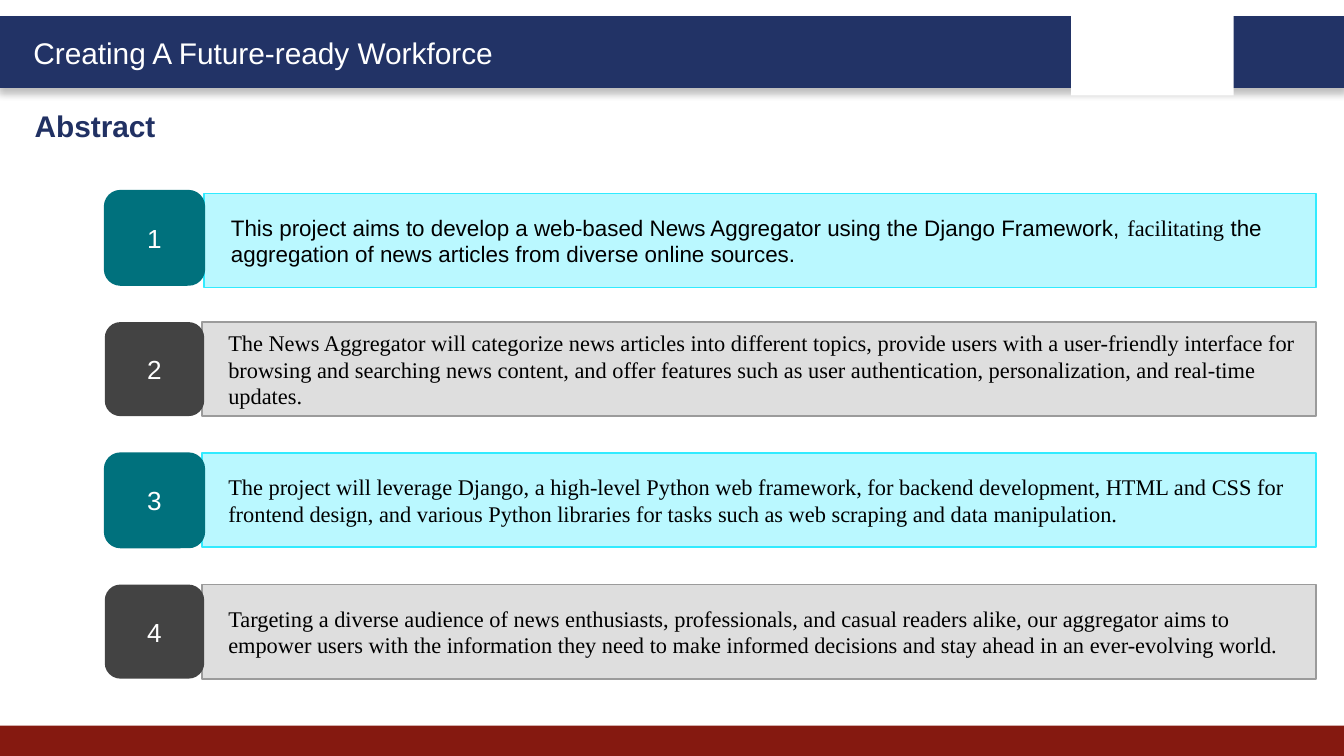
from lxml.etree import SubElement
from pptx import Presentation
from pptx.dml.color import RGBColor
from pptx.enum.shapes import MSO_SHAPE as Shape
from pptx.enum.text import MSO_ANCHOR as Anchor, MSO_AUTO_SIZE as AutoSize, PP_ALIGN as Align
from pptx.oxml.ns import qn
from pptx.util import Inches, Pt

SANS, SERIF = "Arial", "Times New Roman"

COLORS = {
    "navy": "223366", "heading": "213163", "red": "851910",
    "white": "FFFFFF", "black": "000000",
    "teal": "00717D", "cyan": "BAF8FF", "cyan_edge": "31EBFF",
    "charcoal": "434343", "gray": "DEDEDE", "gray_edge": "9B9B9B",
}

BANNER_TITLE = "Creating A Future-ready Workforce"
HEADING = "Abstract"

# Each point is a list of (text, font) runs.
POINTS = [
    [("This project aims to develop a web-based News Aggregator using the Django Framework, ", SANS),
     ("facilitating", SERIF),
     (" the aggregation of news articles from diverse online sources.", SANS)],
    [("The News Aggregator will categorize news articles into different topics, provide users "
      "with a user-friendly interface for browsing and searching news content, and offer features "
      "such as user authentication, personalization, and real-time updates.", SERIF)],
    [("The project will leverage Django, a high-level Python web framework, for backend "
      "development, HTML and CSS for frontend design, and various Python libraries for tasks "
      "such as web scraping and data manipulation.", SERIF)],
    [("Targeting a diverse audience of news enthusiasts, professionals, and casual readers alike, "
      "our aggregator aims to empower users with the information they need to make informed "
      "decisions and stay ahead in an ever-evolving world.", SERIF)],
]

# (badge fill, badge line, panel fill, panel line), alternating by row
STYLES = [("teal", "teal", "cyan", "cyan_edge"),
          ("charcoal", None, "gray", "gray_edge")]

SLIDE_WIDTH = 10
SLIDE_HEIGHT = SLIDE_WIDTH * 9 / 16
BADGE_LEFT, BADGE_WIDTH = 0.78, 0.74
PANEL_LEFT, PANEL_RIGHT = 1.5, 9.79
ROW_TOP, ROW_BOTTOM, ROW_HEIGHT = 1.42, 5.05, 0.7
ROW_PITCH = (ROW_BOTTOM - ROW_HEIGHT - ROW_TOP) / (len(POINTS) - 1)
FIRST_PANEL_SHIFT = 0.02


def color(name):
    return RGBColor.from_string(COLORS[name])


def add_block(slide, kind, box, fill, line=None, line_width=1):
    block = slide.shapes.add_shape(kind, *map(Inches, box))
    block.shadow.inherit = False
    block.fill.solid()
    block.fill.fore_color.rgb = color(fill)
    if line:
        block.line.color.rgb = color(line)
        block.line.width = Pt(line_width)
    else:
        block.line.fill.background()
    return block


def add_drop_shadow(block):
    effects = block._element.spPr.find(qn("a:effectLst"))
    shadow = SubElement(effects, qn("a:outerShdw"), blurRad=str(Pt(4)), dist=str(Pt(3)),
                        dir="5400000", algn="t", rotWithShape="0")
    tint = SubElement(shadow, qn("a:srgbClr"), val=COLORS["black"])
    SubElement(tint, qn("a:alpha"), val="25000")


def add_runs(paragraph, runs, size, ink, bold=False):
    for text, face in runs:
        run = paragraph.add_run()
        run.text = text
        run.font.name = face
        run.font.size = Pt(size)
        run.font.bold = bold
        run.font.color.rgb = color(ink)


def add_label(slide, box, text, ink, bold=False):
    frame = slide.shapes.add_textbox(*map(Inches, box)).text_frame
    frame.word_wrap = True
    frame.auto_size = AutoSize.SHAPE_TO_FIT_TEXT
    add_runs(frame.paragraphs[0], [(text, SANS)], 16, ink, bold)


def fill_block(block, runs, size, ink, align, indent=0):
    frame = block.text_frame
    frame.word_wrap = True
    frame.vertical_anchor = Anchor.MIDDLE
    paragraph = frame.paragraphs[0]
    paragraph.alignment = align
    if indent:
        paragraph._p.get_or_add_pPr().set("marL", str(Inches(indent)))
    add_runs(paragraph, runs, size, ink)


def add_point(slide, index, runs):
    badge_fill, badge_line, panel_fill, panel_line = STYLES[index % len(STYLES)]
    top = ROW_TOP + index * ROW_PITCH
    shift = 0 if index else FIRST_PANEL_SHIFT
    left = PANEL_LEFT + shift
    panel = add_block(slide, Shape.RECTANGLE,
                      (left, top + shift, PANEL_RIGHT - left, ROW_HEIGHT),
                      panel_fill, panel_line)
    fill_block(panel, runs, 12, "black", Align.LEFT, indent=0.1)
    badge = add_block(slide, Shape.ROUNDED_RECTANGLE,
                      (BADGE_LEFT, top, BADGE_WIDTH, ROW_HEIGHT), badge_fill, badge_line)
    fill_block(badge, [(str(index + 1), SANS)], 14, "white", Align.CENTER)


def main():
    deck = Presentation()
    deck.slide_width, deck.slide_height = Inches(SLIDE_WIDTH), Inches(SLIDE_HEIGHT)
    slide = deck.slides.add_slide(deck.slide_layouts[6])

    banner = add_block(slide, Shape.RECTANGLE, (0, 0.13, SLIDE_WIDTH, 0.51), "navy", "navy", 2)
    add_drop_shadow(banner)
    add_block(slide, Shape.RECTANGLE, (0, 5.4, SLIDE_WIDTH, 0.23), "red")
    add_block(slide, Shape.RECTANGLE, (7.97, 0.07, 1.21, 0.64), "white")
    add_label(slide, (0.15, 0.21, 3.78, 0.37), BANNER_TITLE, "white")
    add_label(slide, (0.16, 0.75, 4.84, 0.37), HEADING, "heading", bold=True)

    for index, runs in enumerate(POINTS):
        add_point(slide, index, runs)

    deck.save("out.pptx")


if __name__ == "__main__":
    main()
